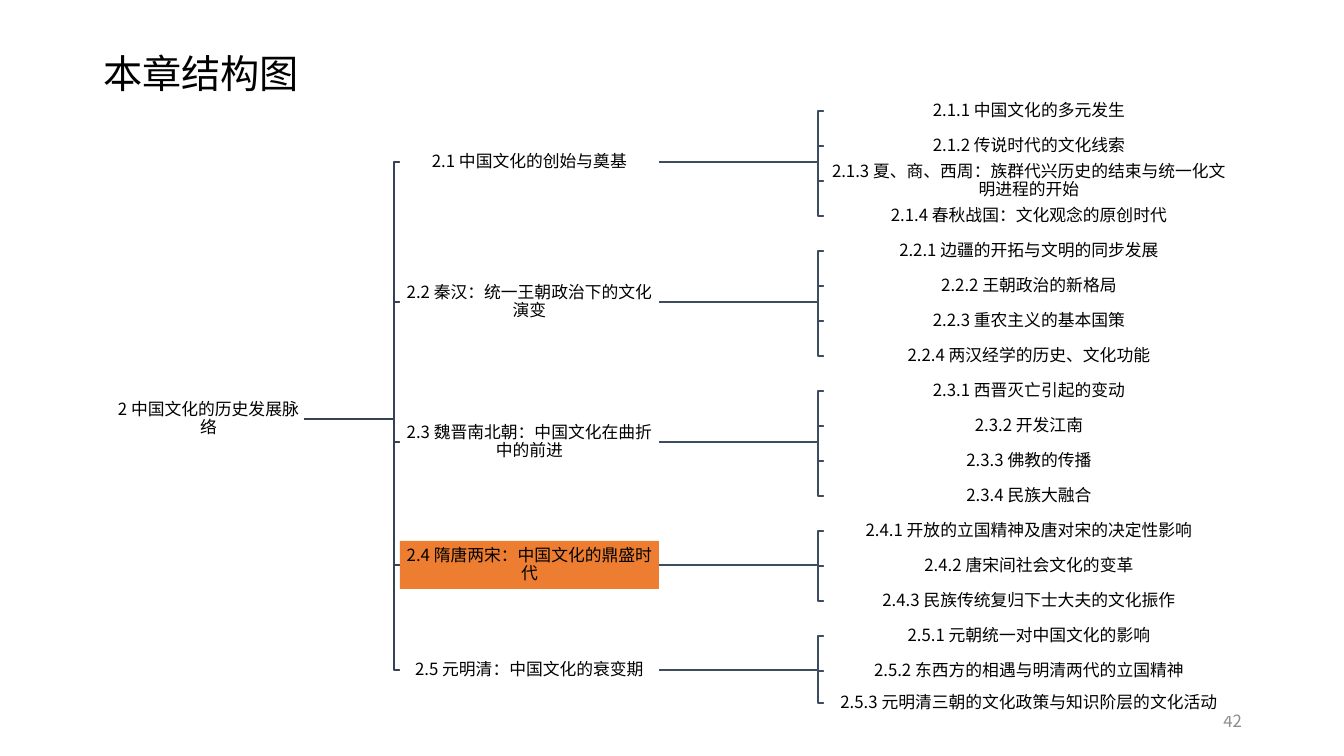
import pptx
import pptx.dml.color
import pptx.enum.shapes
import pptx.enum.text
import pptx.oxml.ns
import pptx.util
from lxml import etree

PX = 12192000 / 1344
FONT = "Noto Sans CJK SC"
RGBColor = pptx.dml.color.RGBColor
BLACK = RGBColor(0x00, 0x00, 0x00)
WHITE = RGBColor(0xFF, 0xFF, 0xFF)
GREY = RGBColor(0x8C, 0x8C, 0x8C)
ORANGE = RGBColor(0xED, 0x7D, 0x31)
ROOT_LINE = RGBColor(0x36, 0x43, 0x55)
SECTION_LINE = RGBColor(0x3E, 0x4C, 0x60)
ALIGN = pptx.enum.text.PP_ALIGN

LEAF_PITCH = 35
LAST_LEAF_LIFT = 3
ELBOW_GAP = 6
CURRENT_SECTION = 4
CHAPTER = "中国文化的历史发展脉络"
SECTIONS = [
    ("中国文化的创始与奠基", [
        "中国文化的多元发生",
        "传说时代的文化线索",
        "夏、商、西周：族群代兴历史的结束与统一化文明进程的开始",
        "春秋战国：文化观念的原创时代",
    ]),
    ("秦汉：统一王朝政治下的文化演变", [
        "边疆的开拓与文明的同步发展",
        "王朝政治的新格局",
        "重农主义的基本国策",
        "两汉经学的历史、文化功能",
    ]),
    ("魏晋南北朝：中国文化在曲折中的前进", [
        "西晋灭亡引起的变动",
        "开发江南",
        "佛教的传播",
        "民族大融合",
    ]),
    ("隋唐两宋：中国文化的鼎盛时代", [
        "开放的立国精神及唐对宋的决定性影响",
        "唐宋间社会文化的变革",
        "民族传统复归下士大夫的文化振作",
    ]),
    ("元明清：中国文化的衰变期", [
        "元朝统一对中国文化的影响",
        "东西方的相遇与明清两代的立国精神",
        "元明清三朝的文化政策与知识阶层的文化活动",
    ]),
]


def px(n):
    return pptx.util.Emu(round(n * PX))


def write(sp, text, size, color, align, line_spacing=None, inset=None):
    tf = sp.text_frame
    tf.word_wrap = True
    tf.auto_size = pptx.enum.text.MSO_AUTO_SIZE.NONE
    tf.vertical_anchor = pptx.enum.text.MSO_ANCHOR.MIDDLE
    if inset is not None:
        tf.margin_left = tf.margin_right = px(inset)
        tf.margin_top = tf.margin_bottom = px(inset)
    p = tf.paragraphs[0]
    p.alignment = align
    if line_spacing:
        p.line_spacing = line_spacing
    r = p.add_run()
    r.text = text
    r.font.size = pptx.util.Pt(size)
    r.font.color.rgb = color
    r.font.name = FONT
    ea = etree.SubElement(r.font._element, pptx.oxml.ns.qn("a:ea"))
    ea.set("typeface", FONT)


def add_title(s, x, y, w, h):
    sp = s.shapes.title
    sp.left, sp.top, sp.width, sp.height = px(x), px(y), px(w), px(h)
    write(sp, "本章结构图", 28, BLACK, ALIGN.LEFT, 0.9)


def add_page_number(s, x, y, w, h):
    sp = s.shapes.add_textbox(px(x), px(y), px(w), px(h))
    write(sp, "42", 12, GREY, ALIGN.RIGHT)


def add_node(s, text, x, center, w, h, fill=None):
    sp = s.shapes.add_shape(pptx.enum.shapes.MSO_SHAPE.RECTANGLE,
                            px(x), px(center - h / 2), px(w), px(h))
    sp.shadow.inherit = False
    sp.line.fill.background()
    if fill is None:
        sp.fill.background()
    else:
        sp.fill.solid()
        sp.fill.fore_color.rgb = fill
    write(sp, text, 12, BLACK, ALIGN.CENTER, 0.9, 1)


def add_elbow(s, x1, y1, x2, y2, color):
    bend = x2 - ELBOW_GAP
    fb = s.shapes.build_freeform(x1, y1, scale=PX)
    fb.add_line_segments([(bend, y1), (bend, y2), (x2, y2)], close=False)
    sp = fb.convert_to_shape()
    sp.shadow.inherit = False
    sp.fill.background()
    sp.line.color.rgb = color
    sp.line.width = pptx.util.Pt(1)


def add_chapter_tree(s, x, y, w, h):
    root_w, section_w, leaf_w = 191, 259, 410
    section_x, leaf_x = x + 287, x + w - leaf_w
    root_right, section_right = x + root_w, section_x + section_w
    root_center = y + h // 2 + 12
    leaf_count = sum(len(leaves) for _, leaves in SECTIONS)
    nodes = [(f"2 {CHAPTER}", x, root_center, root_w, 72)]
    index = 0
    for i, (section, leaves) in enumerate(SECTIONS, 1):
        first = y + 13 + index * LEAF_PITCH
        center = first + (len(leaves) - 1) * LEAF_PITCH // 2 - 1
        fill = ORANGE if i == CURRENT_SECTION else WHITE
        add_elbow(s, root_right, root_center, section_x, center, ROOT_LINE)
        nodes.append((f"2.{i} {section}", section_x, center, section_w, 48, fill))
        for j, leaf in enumerate(leaves, 1):
            index += 1
            leaf_center = first + (j - 1) * LEAF_PITCH
            if index == leaf_count:
                leaf_center -= LAST_LEAF_LIFT
            add_elbow(s, section_right, center, leaf_x, leaf_center, SECTION_LINE)
            nodes.append((f"2.{i}.{j} {leaf}", leaf_x, leaf_center, leaf_w, 26, WHITE))
    for node in nodes:
        add_node(s, *node)


def main():
    prs = pptx.Presentation()
    prs.slide_width, prs.slide_height = px(1344), px(756)
    s = prs.slides.add_slide(prs.slide_layouts[5])
    add_title(s, 93, 40, 332, 72)
    add_page_number(s, 950, 701, 302, 40)
    add_chapter_tree(s, 113, 98, 1121, 618)
    prs.save("out.pptx")


if __name__ == "__main__":
    main()
